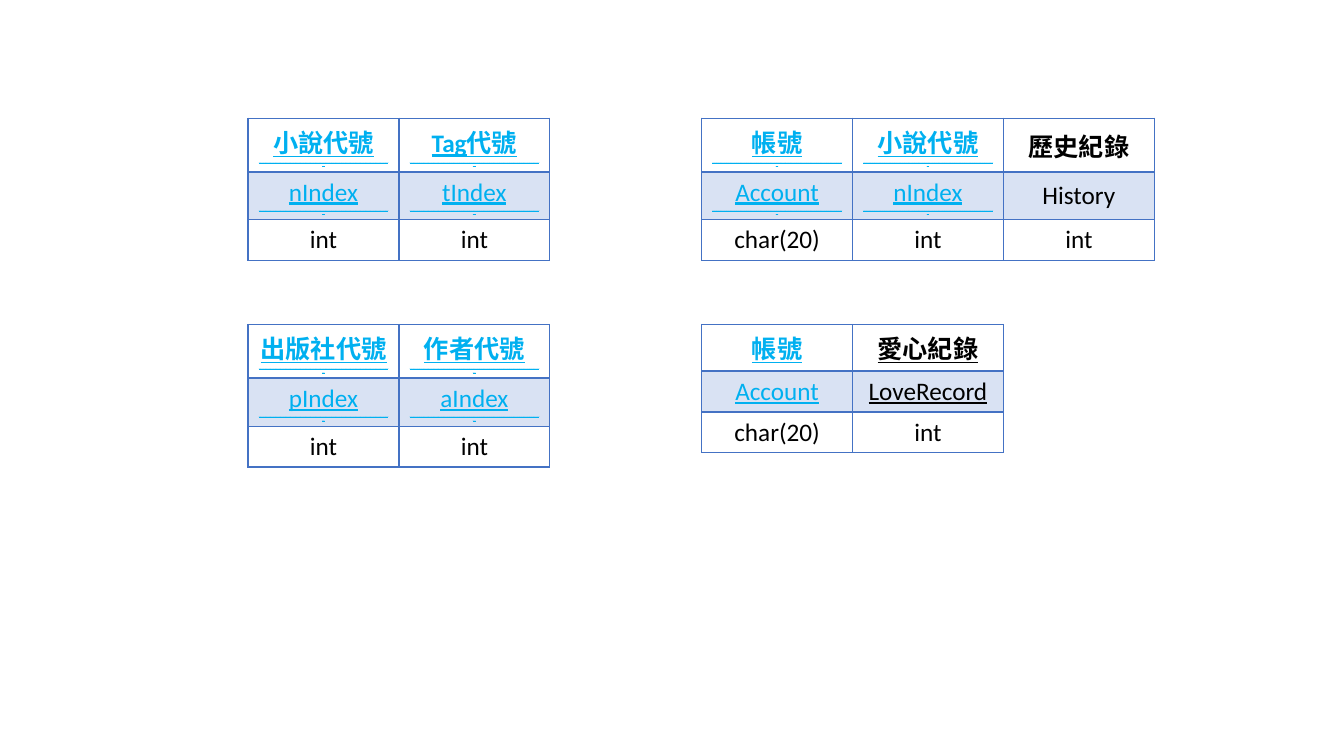
from dataclasses import dataclass

from lxml.etree import SubElement
from pptx import Presentation
from pptx.dml.color import RGBColor
from pptx.enum.text import MSO_ANCHOR, PP_ALIGN
from pptx.oxml.ns import qn
from pptx.util import Pt

FONT = "Calibri"
BLACK, KEY_BLUE, GRID_BLUE = "000000", "00B0F0", "4472C4"
KEY_RULE = "_____________________________________________________________________________________________"
COLUMN_WIDTH, ROW_HEIGHT = 107.8, 29.2
LEFT_SIDE, RIGHT_SIDE = 177.2, 501.2
UPPER, LOWER = 84.5, 231.8


@dataclass
class Field:
    label: str
    name: str
    kind: str = "int"
    color: str = KEY_BLUE
    underline: bool = True
    rule: bool = True


# Left, top and fields of each table
TABLES = [
    (LEFT_SIDE, UPPER, [Field("小說代號", "nIndex"), Field("Tag代號", "tIndex")]),
    (LEFT_SIDE, LOWER, [Field("出版社代號", "pIndex"), Field("作者代號", "aIndex")]),
    (RIGHT_SIDE, UPPER, [
        Field("帳號", "Account", "char(20)"),
        Field("小說代號", "nIndex"),
        Field("歷史紀錄", "History", color=BLACK, underline=False, rule=False),
    ]),
    (RIGHT_SIDE, LOWER, [
        Field("帳號", "Account", "char(20)", rule=False),
        Field("愛心紀錄", "LoveRecord", color=BLACK, rule=False),
    ]),
]


def rgb(color):
    return RGBColor.from_string(color)


def write(para, text, size=18, color=BLACK, bold=False, underline=False):
    para.alignment = PP_ALIGN.CENTER
    span = para.add_run()
    span.text = text
    font = span.font
    font.name, font.size = FONT, Pt(size)
    font.bold, font.underline = bold, underline
    font.color.rgb = rgb(color)


def add_border(cell, side, width):
    line = SubElement(cell._tc.get_or_add_tcPr(), qn(f"a:ln{side}"), w=str(Pt(width)))
    fill = SubElement(line, qn("a:solidFill"))
    SubElement(fill, qn("a:srgbClr"), val=GRID_BLUE)


def style_cell(cell, row):
    cell.vertical_anchor = MSO_ANCHOR.MIDDLE
    # The line under the header row is twice as thick
    widths = {"L": 1, "R": 1, "T": 2 if row == 1 else 1, "B": 2 if row == 0 else 1}
    for side, width in widths.items():
        add_border(cell, side, width)
    if row == 1:
        cell.fill.solid()
        cell.fill.fore_color.rgb = rgb(GRID_BLUE)
        tint = cell._tc.tcPr.find(qn("a:solidFill"))[0]
        SubElement(tint, qn("a:alpha"), val="20000")
    else:
        cell.fill.background()


def fill_cell(cell, row, field):
    frame = cell.text_frame
    para = frame.paragraphs[0]
    if row == 2:
        write(para, field.kind)
        return
    look = {"color": field.color, "underline": field.underline}
    write(para, (field.label, field.name)[row], bold=row == 0, **look)
    if field.rule:
        write(frame.add_paragraph(), KEY_RULE, size=2, bold=True, **look)


def add_schema_table(page, left, top, fields):
    count = len(fields)
    table = page.shapes.add_table(3, count, Pt(left), Pt(top),
                                  Pt(COLUMN_WIDTH * count), Pt(ROW_HEIGHT * 3)).table
    table.first_row = table.horz_banding = False
    for column, field in enumerate(fields):
        for row in range(3):
            cell = table.cell(row, column)
            style_cell(cell, row)
            fill_cell(cell, row, field)


def main():
    deck = Presentation()
    deck.slide_width, deck.slide_height = Pt(960), Pt(540)
    page = deck.slides.add_slide(deck.slide_layouts[6])
    for left, top, fields in TABLES:
        add_schema_table(page, left, top, fields)
    deck.save("out.pptx")


if __name__ == "__main__":
    main()
